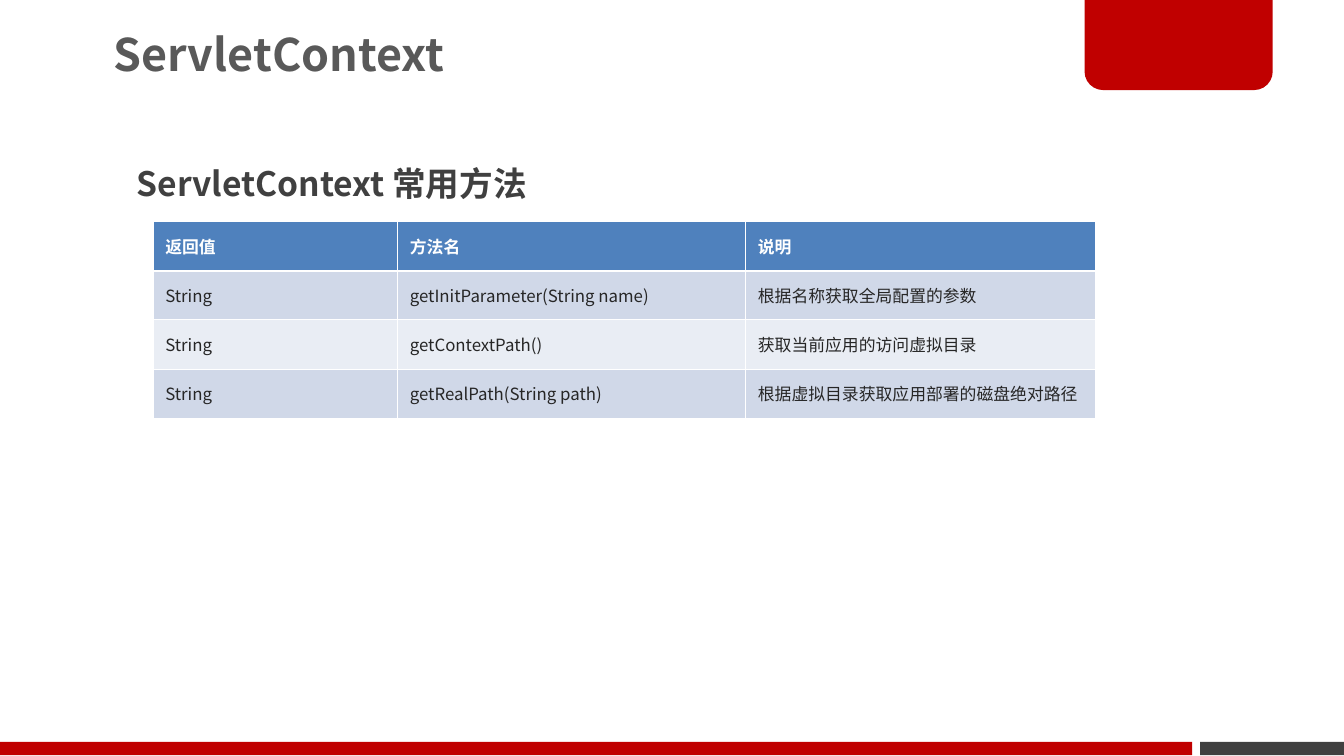
from lxml.etree import SubElement
from pptx import Presentation
from pptx.dml.color import RGBColor
from pptx.enum.shapes import MSO_SHAPE as Shape
from pptx.enum.text import MSO_ANCHOR as Anchor
from pptx.oxml.ns import qn
from pptx.util import Inches, Pt

FONT = "Noto Sans CJK SC"
WHITE = RGBColor(0xFF, 0xFF, 0xFF)
RED = RGBColor(0xC0, 0x00, 0x00)
DARK = RGBColor(0x40, 0x40, 0x40)
TITLE_GRAY = RGBColor(0x59, 0x59, 0x59)
BODY_TEXT = RGBColor(0x26, 0x26, 0x26)
HEADER_BLUE = RGBColor(0x4F, 0x81, 0xBD)
BAND_FILLS = [RGBColor(0xE9, 0xED, 0xF4), RGBColor(0xD0, 0xD8, 0xE8)]

TITLE = " ServletContext"
SUBTITLE = "ServletContext 常用方法"
METHODS = [
    ("返回值", "方法名", "说明"),
    ("String", "getInitParameter(String name)", "根据名称获取全局配置的参数"),
    ("String", "getContextPath()", "获取当前应用的访问虚拟目录"),
    ("String", "getRealPath(String path)", "根据虚拟目录获取应用部署的磁盘绝对路径"),
]
COLUMN_WIDTHS = [1.82, 2.59, 2.6]
TABLE_HEIGHT = 1.46
THIN, THICK = 0.45, 1.47

# kind, (left, top, width, height), fill
DECORATIONS = [
    (Shape.RECTANGLE, (8.93, 5.52, 1.07, 0.1), DARK),
    (Shape.ROUND_2_SAME_RECTANGLE, (8.07, -0.02, 1.4, 0.69), RED),
    (Shape.RECTANGLE, (0, 5.52, 8.87, 0.1), RED),
]


def write(frame, text, size, color, bold, spacing=None):
    frame.text = text
    para = frame.paragraphs[0]
    if spacing:
        para.line_spacing = spacing
    span = para.runs[0]
    font = span.font
    font.name, font.size, font.bold = FONT, Pt(size), bold
    font.color.rgb = color
    SubElement(font._element, qn("a:ea"), typeface=FONT)


def add_heading(page, place, insets, anchor, *style):
    frame = page.shapes.add_textbox(*map(Inches, place)).text_frame
    frame.word_wrap = True
    frame.vertical_anchor = anchor
    frame.margin_left = frame.margin_right = Inches(insets[0])
    frame.margin_top = frame.margin_bottom = Inches(insets[1])
    write(frame, *style)


def set_borders(cell, top, bottom):
    properties = cell._tc.get_or_add_tcPr()
    widths = {"lnL": THIN, "lnR": THIN, "lnT": top, "lnB": bottom}
    for index, (side, width) in enumerate(widths.items()):
        line = properties.makeelement(qn(f"a:{side}"), {"w": str(Pt(width))})
        fill = SubElement(line, qn("a:solidFill"))
        SubElement(fill, qn("a:srgbClr"), val=str(WHITE))
        properties.insert(index, line)


# A 16:9 page
deck = Presentation()
deck.slide_width, deck.slide_height = Inches(10), Inches(10 * 9 / 16)
page = deck.slides.add_slide(deck.slide_layouts[6])

# Corner tab and footer bars
for kind, place, color in DECORATIONS:
    shape = page.shapes.add_shape(kind, *map(Inches, place))
    shape.shadow.inherit = False
    shape.fill.solid()
    shape.fill.fore_color.rgb = color
    shape.line.fill.background()
    if kind == Shape.ROUND_2_SAME_RECTANGLE:
        shape.adjustments[0], shape.adjustments[1] = 0, 0.2

# Headings
add_heading(page, (0.69, -0.02, 5.89, 0.89), (0.08, 0.04), Anchor.MIDDLE,
            TITLE, 24, TITLE_GRAY, True, 0.9)
add_heading(page, (0.92, 1.01, 3.84, 0.55), (0.1, 0.05), Anchor.TOP,
            SUBTITLE, 18, DARK, True, 1.5)

# Method table
table = page.shapes.add_table(
    len(METHODS), len(COLUMN_WIDTHS), Inches(1.14), Inches(1.65),
    Inches(sum(COLUMN_WIDTHS)), Inches(TABLE_HEIGHT)).table
for column, width in zip(table.columns, COLUMN_WIDTHS):
    column.width = Inches(width)
for r, values in enumerate(METHODS):
    header = r == 0
    for c, value in enumerate(values):
        cell = table.cell(r, c)
        cell.vertical_anchor = Anchor.MIDDLE
        cell.margin_left = cell.margin_right = Inches(0.09)
        cell.margin_top = cell.margin_bottom = Inches(0.05)
        cell.fill.solid()
        cell.fill.fore_color.rgb = HEADER_BLUE if header else BAND_FILLS[r % 2]
        write(cell.text_frame, value, 9, WHITE if header else BODY_TEXT, header)
        set_borders(cell, THICK if r == 1 else THIN, THICK if header else THIN)

deck.save("out.pptx")
